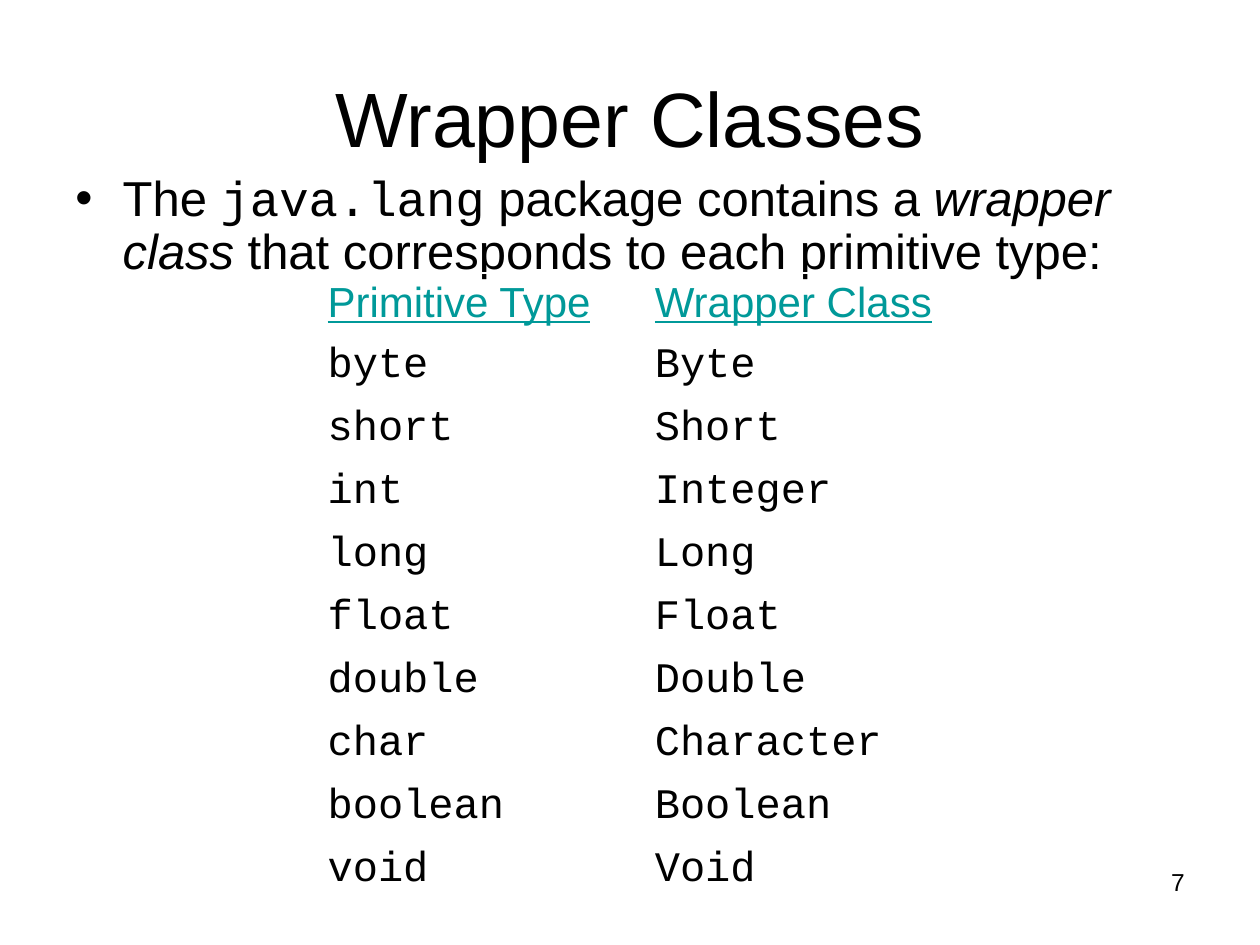
from lxml.etree import SubElement
from pptx import Presentation
from pptx.dml.color import RGBColor
from pptx.enum.text import MSO_ANCHOR as ANCHOR, PP_ALIGN as ALIGN
from pptx.oxml.ns import qn
from pptx.util import Pt

SANS, MONO = "Arial", "Courier New"
BLACK, TEAL = "000000", "009999"
TITLE = "Wrapper Classes"
INTRO = [
    ("The ", {}),
    ("java.lang", {"font": MONO}),
    (" package contains a ", {}),
    ("wrapper class", {"italic": True}),
    (" that corresponds to each primitive type:", {}),
]
HEADER = ("Primitive Type", "Wrapper Class")
TYPES = [
    ("byte", "Byte"),
    ("short", "Short"),
    ("int", "Integer"),
    ("long", "Long"),
    ("float", "Float"),
    ("double", "Double"),
    ("char", "Character"),
    ("boolean", "Boolean"),
    ("void", "Void"),
]
PAGE = "7"
COL_WIDTHS, ROW_HEIGHT = (187, 181), 36


def add_run(p, text, size=24, font=SANS, color=BLACK, italic=False, underline=False):
    """Append a formatted run to a paragraph."""
    r = p.add_run()
    r.text = text
    f = r.font
    f.size, f.name, f.bold = Pt(size), font, False
    f.italic, f.underline = italic, underline
    f.color.rgb = RGBColor.from_string(color)


def add_box(slide, x, y, w, h):
    """Add a wrapping text box and return its first paragraph."""
    tf = slide.shapes.add_textbox(Pt(x), Pt(y), Pt(w), Pt(h)).text_frame
    tf.word_wrap = True
    return tf.paragraphs[0]


def add_bullet(p, indent):
    """Give a paragraph a round bullet with a hanging indent."""
    pPr = p._p.get_or_add_pPr()
    pPr.set("marL", str(Pt(indent)))
    pPr.set("indent", str(-Pt(indent)))
    SubElement(pPr, qn("a:buFont"), typeface=SANS)
    SubElement(pPr, qn("a:buChar"), char="•")


def add_title(slide):
    """Place and fill the title placeholder."""
    s = slide.shapes.title
    s.left, s.top, s.width, s.height = Pt(36), Pt(21.6), Pt(648), Pt(90)
    s.text_frame.vertical_anchor = ANCHOR.MIDDLE
    p = s.text_frame.paragraphs[0]
    p.alignment = ALIGN.CENTER
    add_run(p, TITLE, size=44)


def add_intro(slide):
    """Add the bulleted introduction."""
    p = add_box(slide, 36, 96, 636, 72)
    p.line_spacing, p.space_before = 0.9, Pt(7)
    add_bullet(p, 27)
    for text, fmt in INTRO:
        add_run(p, text, size=28, **fmt)


def add_type_table(slide):
    """Add the table of primitive types and their wrappers."""
    rows = [HEADER] + TYPES
    table = slide.shapes.add_table(
        len(rows), len(HEADER), Pt(180), Pt(156),
        Pt(sum(COL_WIDTHS)), Pt(ROW_HEIGHT * len(rows))).table
    table.first_row = table.horz_banding = False
    for col, width in zip(table.columns, COL_WIDTHS):
        col.width = Pt(width)
    for i, row in enumerate(rows):
        fmt = {"font": MONO} if i else {"color": TEAL, "underline": True}
        for j, text in enumerate(row):
            cell = table.cell(i, j)
            cell.fill.background()
            p = cell.text_frame.paragraphs[0]
            p.space_before = Pt(6)
            add_run(p, text, **fmt)


def main():
    """Build and save the slide."""
    prs = Presentation()
    prs.slide_width, prs.slide_height = Pt(720), Pt(540)
    slide = prs.slides.add_slide(prs.slide_layouts[5])
    add_title(slide)
    add_intro(slide)
    add_type_table(slide)
    p = add_box(slide, 516, 492, 168, 37.5)
    p.alignment = ALIGN.RIGHT
    add_run(p, PAGE, size=14)
    prs.save("out.pptx")


if __name__ == "__main__":
    main()
